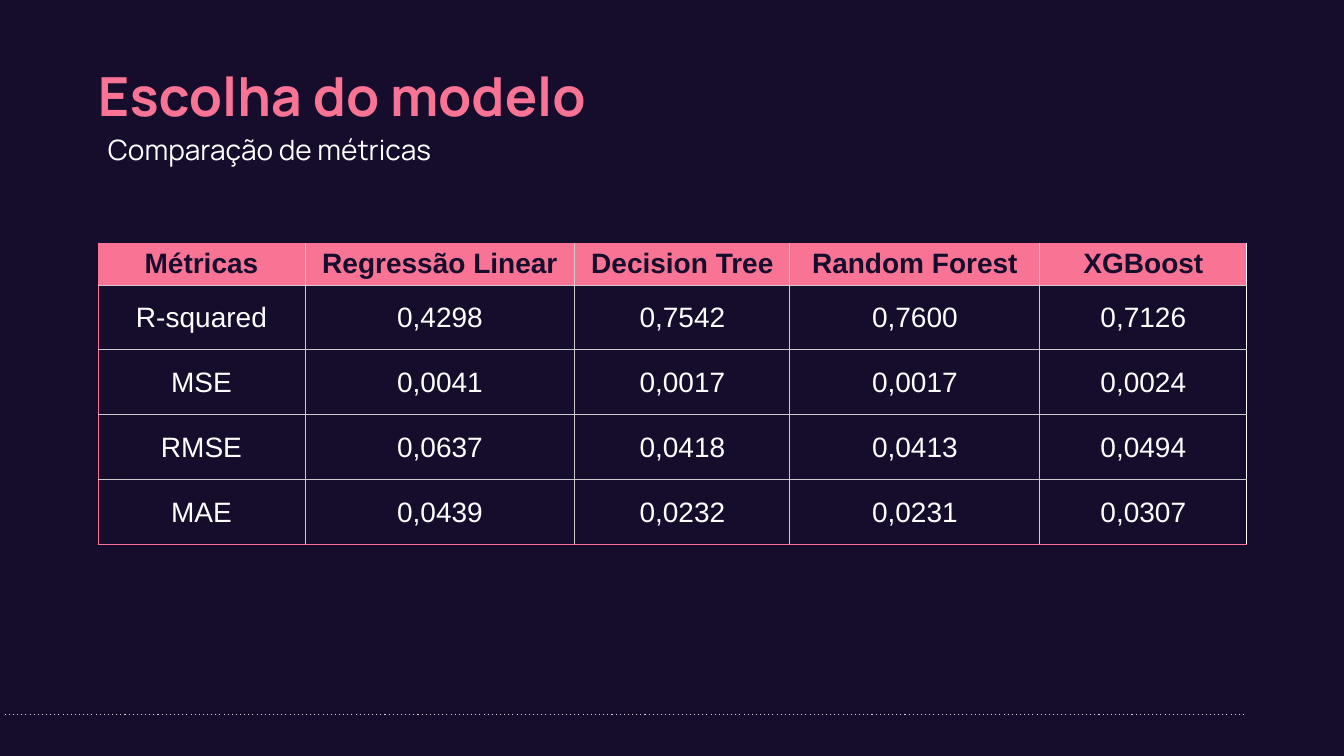
import lxml.etree
import pptx
import pptx.dml.color
import pptx.enum.dml
import pptx.enum.shapes
import pptx.enum.text
import pptx.oxml
import pptx.oxml.ns
import pptx.util

EMU_PER_PX = 914400 / 100.8
NAVY, PINK, WHITE, GREY, PALE = "160D2D", "F97394", "FFFFFF", "CCCCCC", "D8D8D8"
MIDDLE = pptx.enum.text.MSO_ANCHOR.MIDDLE
CENTER = pptx.enum.text.PP_ALIGN.CENTER
LEFT = pptx.enum.text.PP_ALIGN.LEFT

COLUMN_WIDTHS = [207, 270, 215, 250, 207]
HEADER_HEIGHT, ROW_HEIGHT = 42, 65
METRICS = [
    ["Métricas", "Regressão Linear", "Decision Tree", "Random Forest", "XGBoost"],
    ["R-squared", "0,4298", "0,7542", "0,7600", "0,7126"],
    ["MSE", "0,0041", "0,0017", "0,0017", "0,0024"],
    ["RMSE", "0,0637", "0,0418", "0,0413", "0,0494"],
    ["MAE", "0,0439", "0,0232", "0,0231", "0,0307"],
]


def px(length):
    return pptx.util.Emu(round(length * EMU_PER_PX))


def color(hex_code):
    return pptx.dml.color.RGBColor.from_string(hex_code)


def write(frame, text, size, hex_code, font="Manrope", bold=False, align=LEFT, spacing=None):
    para = frame.paragraphs[0]
    para.alignment = align
    para.line_spacing = spacing
    span = para.add_run()
    span.text = text
    span.font.name = font
    span.font.size = pptx.util.Pt(size)
    span.font.bold = bold
    span.font.color.rgb = color(hex_code)


def place(box, left, top, width, height):
    box.left, box.top, box.width, box.height = px(left), px(top), px(width), px(height)


def add_heading(page, left, top):
    title = page.shapes.title
    place(title, left, top, 1183, 59)
    frame = title.text_frame
    frame.margin_left = frame.margin_right = frame.margin_top = frame.margin_bottom = 0
    frame.vertical_anchor = MIDDLE
    frame.auto_size = pptx.enum.text.MSO_AUTO_SIZE.SHAPE_TO_FIT_TEXT
    write(frame, "Escolha do modelo", 38.5, PINK, bold=True, spacing=0.9)

    subtitle = page.shapes.add_textbox(px(left), px(top + 58), px(1206), px(44))
    subtitle.text_frame.word_wrap = True
    write(subtitle.text_frame, "Comparação de métricas", 20, WHITE)


def add_border(cell, side, hex_code):
    """Draw one side (L, R, T or B); call before filling the cell."""
    cell._tc.get_or_add_tcPr().append(pptx.oxml.parse_xml(
        f'<a:ln{side} {pptx.oxml.ns.nsdecls("a")} w="9525"><a:solidFill>'
        f'<a:srgbClr val="{hex_code}"/></a:solidFill><a:prstDash val="solid"/></a:ln{side}>'))


def add_metrics_table(page, left, top):
    row_count, column_count = len(METRICS), len(COLUMN_WIDTHS)
    height = HEADER_HEIGHT + ROW_HEIGHT * (row_count - 1)
    table = page.shapes.add_table(row_count, column_count, px(left), px(top),
                                  px(sum(COLUMN_WIDTHS)), px(height)).table
    table.horz_banding = False
    for column, width in zip(table.columns, COLUMN_WIDTHS):
        column.width = px(width)
    for r, values in enumerate(METRICS):
        header = r == 0
        table.rows[r].height = px(HEADER_HEIGHT if header else ROW_HEIGHT)
        for c, value in enumerate(values):
            cell = table.cell(r, c)
            add_border(cell, "L", PINK if c == 0 else GREY)
            add_border(cell, "R", WHITE if c == column_count - 1 else GREY)
            add_border(cell, "T", PINK if header else GREY)
            add_border(cell, "B", PINK if r == row_count - 1 else GREY)
            cell.fill.solid()
            cell.fill.fore_color.rgb = color(PINK if header else NAVY)
            cell.margin_left = cell.margin_right = px(2)
            cell.margin_top = cell.margin_bottom = px(1)
            cell.vertical_anchor = MIDDLE
            write(cell.text_frame, value, 20, NAVY if header else WHITE,
                  font="Arial", bold=header, align=CENTER)


def add_footer_rule(page, left, right, y):
    rule = page.shapes.add_connector(pptx.enum.shapes.MSO_CONNECTOR.STRAIGHT,
                                     px(right), px(y), px(left), px(y))
    rule.line.color.rgb = color(PALE)
    rule.line.width = pptx.util.Pt(0.75)
    rule.line.dash_style = pptx.enum.dml.MSO_LINE.ROUND_DOT
    rule.line._get_or_add_ln().find(pptx.oxml.ns.qn("a:prstDash")).set("val", "dot")
    lxml.etree.SubElement(rule._element.spPr, pptx.oxml.ns.qn("a:effectLst"))


def main():
    deck = pptx.Presentation()
    deck.slide_width, deck.slide_height = px(1344), px(756)
    page = deck.slides.add_slide(deck.slide_layouts[5])
    page.background.fill.solid()
    page.background.fill.fore_color.rgb = color(NAVY)
    add_footer_rule(page, 5, 1244, 715)
    add_heading(page, 98, 70)
    add_metrics_table(page, 98, 243)
    deck.save("out.pptx")


if __name__ == "__main__":
    main()
